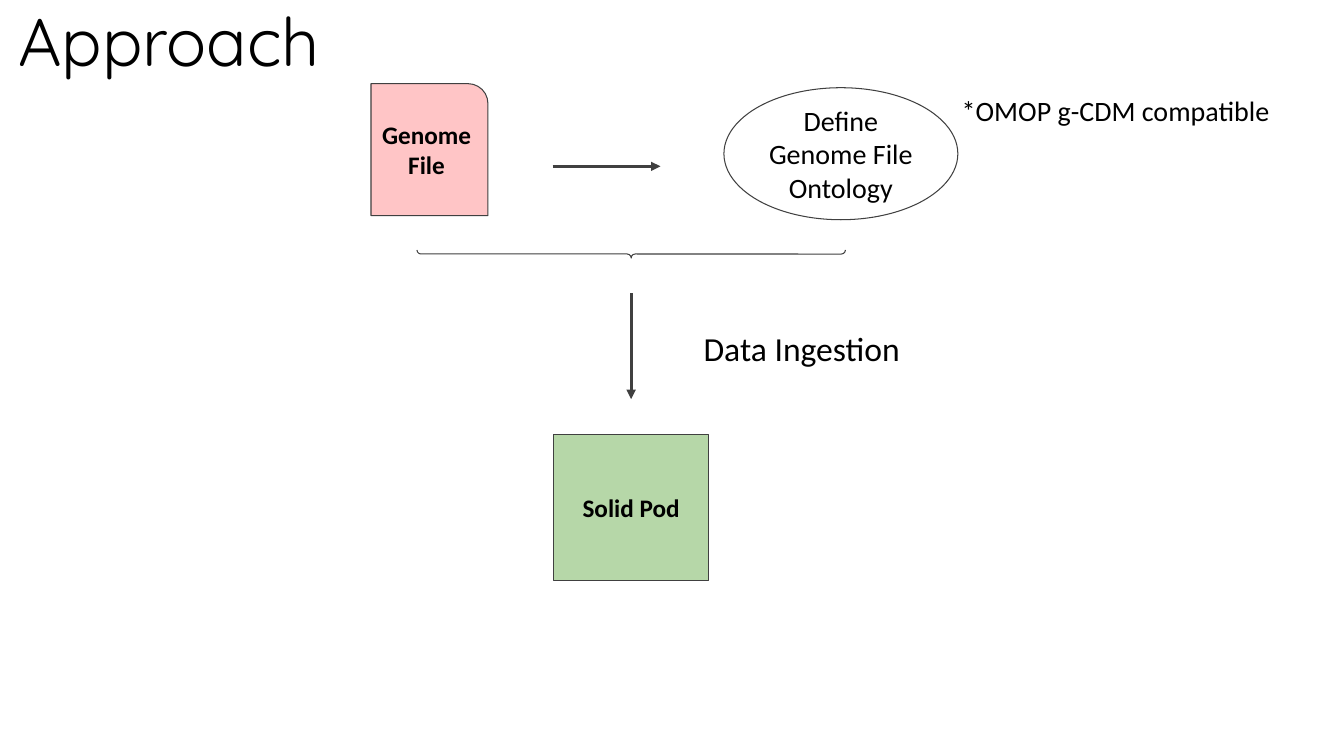
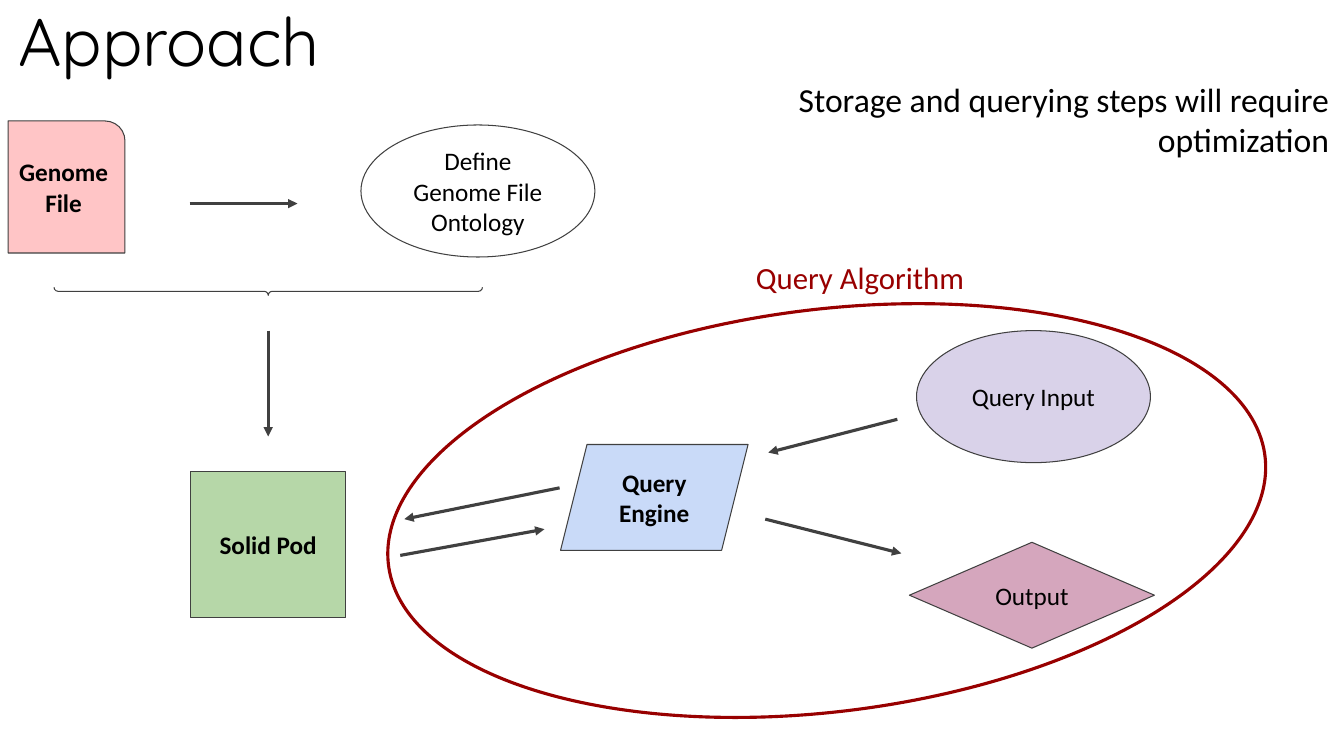
from dataclasses import dataclass

from lxml import etree
from pptx import Presentation
from pptx.dml.color import RGBColor
from pptx.enum.shapes import MSO_CONNECTOR, MSO_SHAPE
from pptx.enum.text import MSO_ANCHOR, MSO_AUTO_SIZE, PP_ALIGN
from pptx.oxml.ns import qn
from pptx.util import Inches, Pt

LEFT, CENTER, RIGHT = PP_ALIGN.LEFT, PP_ALIGN.CENTER, PP_ALIGN.RIGHT
TOP, MIDDLE = MSO_ANCHOR.TOP, MSO_ANCHOR.MIDDLE
FIXED, GROW = MSO_AUTO_SIZE.NONE, MSO_AUTO_SIZE.SHAPE_TO_FIT_TEXT
STRAIGHT = MSO_CONNECTOR.STRAIGHT
FILE, BLOCK = MSO_SHAPE.ROUND_1_RECTANGLE, MSO_SHAPE.RECTANGLE
OVAL, BRACE = MSO_SHAPE.OVAL, MSO_SHAPE.RIGHT_BRACE
SLANTED, DIAMOND = MSO_SHAPE.PARALLELOGRAM, MSO_SHAPE.FLOWCHART_DECISION
TITLE_ONLY = 5

# The page is a grid of square cells; all positions and sizes count cells.
COLUMNS, ROWS = 133.3, 75
CELL = Inches(0.1)


@dataclass(frozen=True)
class Theme:
    title_font: str = "Quicksand"
    body_font: str = "Calibri"
    ink: str = "000000"
    outline: str = "404040"
    paper: str = "FFFFFF"
    accent: str = "980000"
    pink: str = "FFC5C6"
    green: str = "B6D7A8"
    violet: str = "D9D2E9"
    blue: str = "C9DAF8"
    mauve: str = "D5A6BD"
    title: int = 48
    note: int = 24
    heading: int = 22
    remark: int = 20
    node: int = 18
    thin: float = 0.75
    thick: float = 2.25


THEME = Theme()


def cells(*counts):
    return [round(count * CELL) for count in counts]


def color(value):
    return RGBColor.from_string(value)


def write(box, text, *, size=THEME.node, font=THEME.body_font, ink=THEME.ink,
          bold=False, align=LEFT, anchor=TOP, inset=0.5, spacing=None,
          fit=FIXED):
    """Put one formatted paragraph in a box; inset is the top and bottom margin."""
    frame = box.text_frame
    frame.word_wrap = True
    frame.auto_size = fit
    frame.vertical_anchor = anchor
    frame.margin_left = frame.margin_right = CELL
    frame.margin_top = frame.margin_bottom = cells(inset)[0]
    para = frame.paragraphs[0]
    para.alignment = align
    if spacing:
        para.line_spacing = spacing
    span = para.add_run()
    span.text = text
    span.font.name = font
    span.font.size = Pt(size)
    span.font.bold = bold
    span.font.color.rgb = color(ink)


def add_page(deck, title):
    page = deck.slides.add_slide(deck.slide_layouts[TITLE_ONLY])
    box = page.shapes.title
    box.left, box.top, box.width, box.height = cells(0.8, 0.7, 36, 8)
    write(box, title, size=THEME.title, font=THEME.title_font, spacing=0.85)
    return page


def add_label(page, text, left, top, width, height, **style):
    box = page.shapes.add_textbox(*cells(left, top, width, height))
    write(box, text, fit=GROW, **style)


def add_figure(page, kind, left, top, width, height, *, fill=None,
               line=THEME.outline, weight=THEME.thin, turn=0, adjust=()):
    figure = page.shapes.add_shape(kind, *cells(left, top, width, height))
    figure.shadow.inherit = False
    figure.rotation = turn
    for index, value in enumerate(adjust):
        figure.adjustments[index] = value
    if fill:
        figure.fill.solid()
        figure.fill.fore_color.rgb = color(fill)
    else:
        figure.fill.background()
    figure.line.color.rgb = color(line)
    figure.line.width = Pt(weight)
    return figure


def add_node(page, kind, text, left, top, width, height, *, fill, adjust=(),
             **style):
    node = add_figure(page, kind, left, top, width, height, fill=fill,
                      adjust=adjust)
    write(node, text, align=CENTER, anchor=MIDDLE, inset=1, **style)


def add_arrow(page, start, end):
    arrow = page.shapes.add_connector(STRAIGHT, *cells(*start, *end))
    arrow.line.color.rgb = color(THEME.outline)
    arrow.line.width = Pt(THEME.thick)
    head = etree.SubElement(arrow.line._get_or_add_ln(), qn("a:tailEnd"))
    head.set("type", "triangle")
    etree.SubElement(arrow._element.spPr, qn("a:effectLst"))


def add_ingestion_flow(page, left, top, ontology_size):
    """Draw file and ontology flowing into the pod, from the file's corner."""
    node_height = 13.1
    axis = left + 25.8
    add_node(page, FILE, "Genome File", left, top, 11.6, node_height,
             fill=THEME.pink, adjust=[0.17], bold=True)
    add_arrow(page, (left + 18, top + 8.2), (left + 28.7, top + 8.2))
    add_node(page, OVAL, "Define Genome File Ontology", left + 35, top + 0.4,
             23.2, node_height, fill=THEME.paper, size=ontology_size)
    depth, span = 0.8, 42.5
    add_figure(page, BRACE, axis - depth / 2, top + 16.9 - span / 2, depth,
               span, turn=90, adjust=[0.5, 0.5])
    add_arrow(page, (axis, top + 20.8), (axis, top + 31.3))
    pod_width = 15.4
    add_node(page, BLOCK, "Solid Pod", axis - pod_width / 2, top + 34.8,
             pod_width, 14.5, fill=THEME.green, bold=True)


def build_ingestion_page(deck):
    page = add_page(deck, "Approach")
    add_ingestion_flow(page, 36.8, 8.3, THEME.remark)
    add_label(page, "Data Ingestion", 68.8, 32, 21.6, 5, size=THEME.note)
    add_label(page, "*OMOP g-CDM compatible", 94.4, 8.8, 33.1, 4.4,
              size=THEME.remark)


def build_query_page(deck):
    page = add_page(deck, "Approach")
    add_ingestion_flow(page, 0.8, 12, THEME.node)
    add_node(page, OVAL, "Query Input", 90.9, 32.8, 23.2, 13.1,
             fill=THEME.violet)
    add_node(page, SLANTED, "Query Engine", 55.6, 44.1, 18.6, 10.5,
             fill=THEME.blue, adjust=[0.25], bold=True)
    add_node(page, DIAMOND, "Output", 90.2, 53.8, 24.3, 10.5,
             fill=THEME.mauve)
    for start, end in (
        ((89, 41.6), (76.2, 44.9)),
        ((55.5, 48.4), (40.1, 51.5)),
        ((39.7, 55.1), (54, 52.5)),
        ((75.9, 51.5), (89.4, 54.9)),
    ):
        add_arrow(page, start, end)
    add_label(page, "Storage and querying steps will require optimization",
              61, 7.3, 71.8, 9, size=THEME.note, align=RIGHT)
    add_label(page, "Query Algorithm", 74, 25.2, 25.4, 4.7,
              size=THEME.heading, ink=THEME.accent)
    add_figure(page, OVAL, 38.2, 30.7, 87.6, 39.9, line=THEME.accent,
               weight=THEME.thick, turn=352.9)


def main():
    deck = Presentation()
    deck.slide_width, deck.slide_height = cells(COLUMNS, ROWS)
    build_ingestion_page(deck)
    build_query_page(deck)
    deck.save("out.pptx")


if __name__ == "__main__":
    main()
